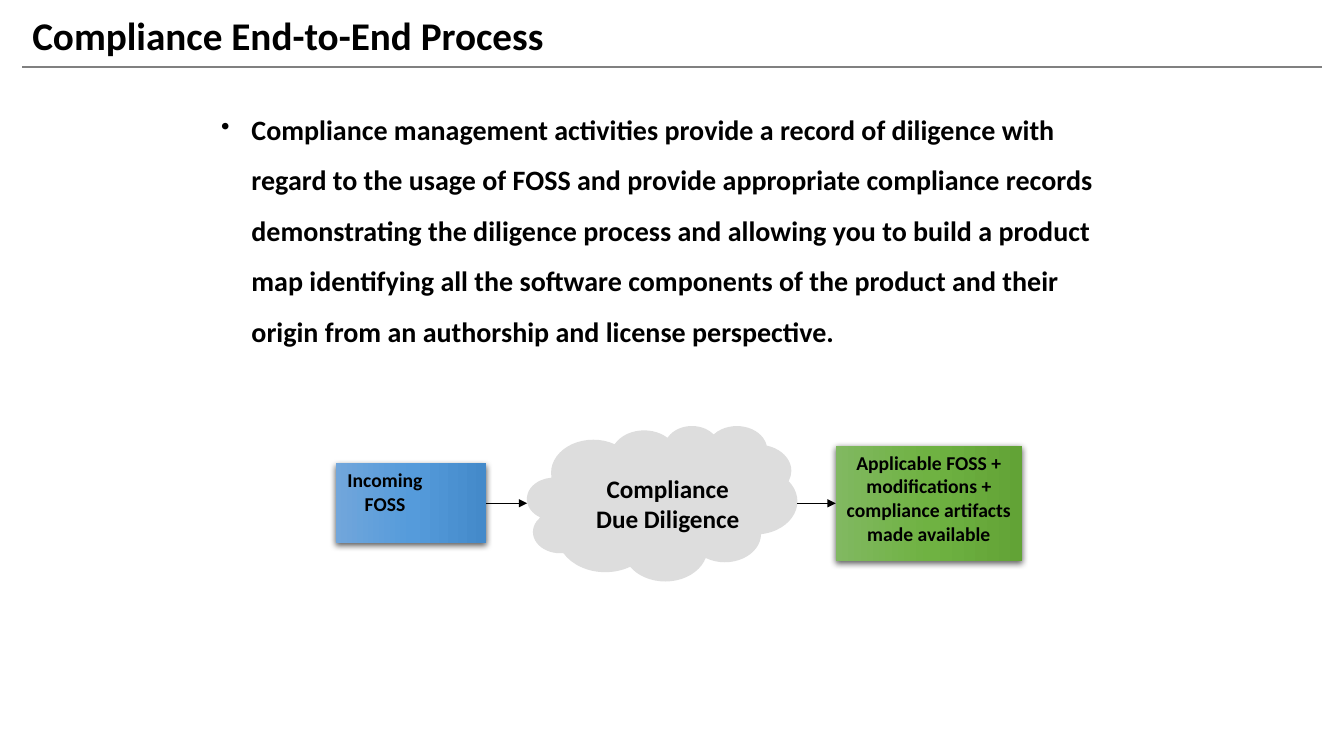
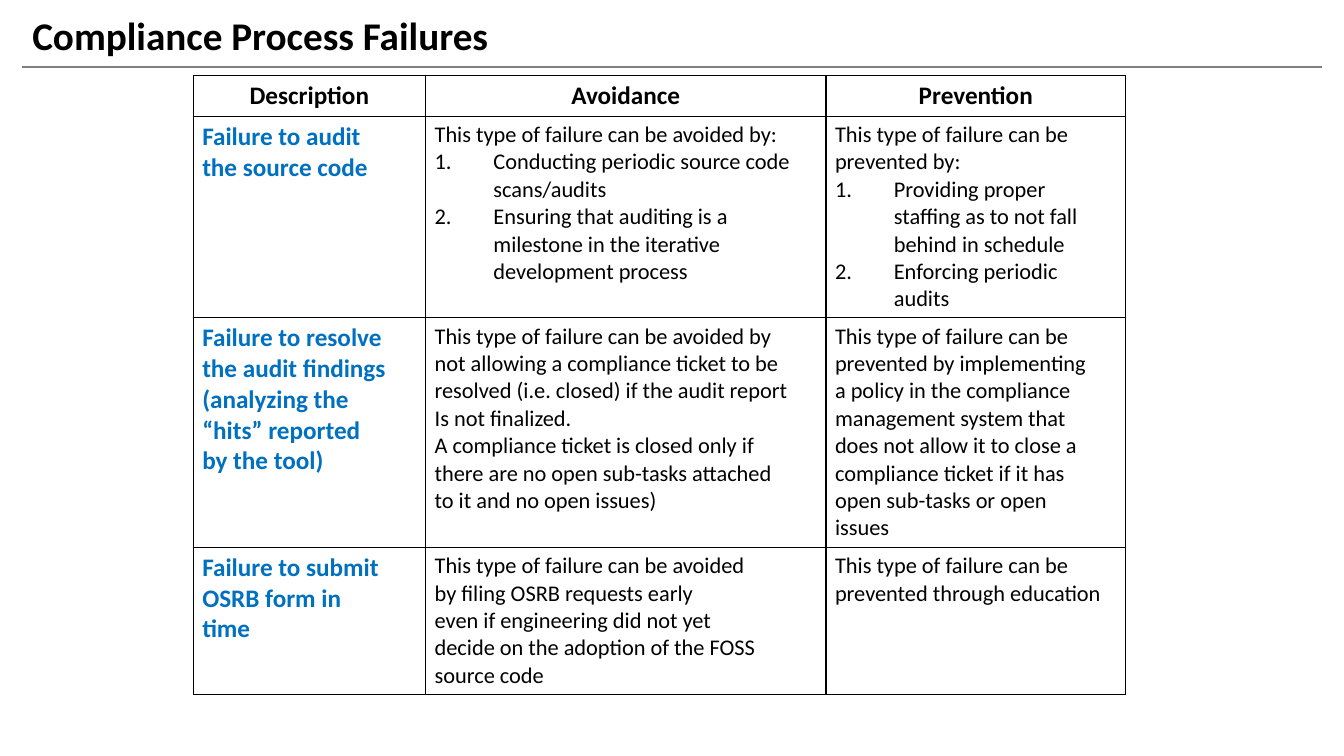
from dataclasses import dataclass

from lxml.etree import SubElement
from pptx import Presentation
from pptx.dml.color import RGBColor
from pptx.enum.shapes import MSO_CONNECTOR, MSO_SHAPE
from pptx.enum.text import MSO_ANCHOR, PP_ALIGN
from pptx.oxml import parse_xml
from pptx.oxml.ns import nsdecls, qn
from pptx.util import Pt


@dataclass(frozen=True)
class Theme:
    font: str = "Calibri"
    text: str = "000000"
    rule: str = "808080"
    row_heading: str = "0070C0"
    cloud: str = "DDDDDD"
    incoming: tuple = ("71A6DB", "559BDB", "448ACA")
    outgoing: tuple = ("81B861", "6FB242", "62A336")
    title_size: int = 28
    body_size: int = 20
    heading_size: int = 18
    cell_size: int = 16
    box_size: int = 14


@dataclass(frozen=True)
class Box:
    left: float
    top: float
    width: float
    height: float

    @property
    def right(self):
        return self.left + self.width

    @property
    def middle(self):
        return self.top + self.height / 2

    def lengths(self):
        return Pt(self.left), Pt(self.top), Pt(self.width), Pt(self.height)


@dataclass(frozen=True)
class Numbered:
    """A line of text that carries an automatic number."""
    text: str


THEME = Theme()
SLIDE_WIDTH, SLIDE_HEIGHT = 960, 540
TITLE = Box(16, 6, 919, 42)
RULE_RIGHT = 944
CONTENT = Box(138, 54, 666, 194)
FLOW = Box(240, 304, 496, 111)
TABLE_COLUMNS = (166, 286, 214)
TABLE_ROWS = (29, 144, 164, 105)
NUMBER_INDENT = 42

RECORD_TEXT = (
    "Compliance management activities provide a record of diligence with regard to the usage of "
    "FOSS and provide appropriate compliance records demonstrating the diligence process and "
    "allowing you to build a product map identifying all the software components of the product "
    "and their origin from an authorship and license perspective."
)

FAILURES = (
    (("Description",), ("Avoidance",), ("Prevention",)),
    (
        ("Failure to audit", "the source code"),
        (
            "This type of failure can be avoided by:",
            Numbered("Conducting periodic source code scans/audits"),
            Numbered("Ensuring that auditing is a milestone in the iterative development process"),
        ),
        (
            "This type of failure can be",
            "prevented by:",
            Numbered("Providing proper staffing as to not fall behind in schedule"),
            Numbered("Enforcing periodic audits"),
        ),
    ),
    (
        ("Failure to resolve", "the audit findings", "(analyzing the", "“hits” reported",
         "by the tool)"),
        (
            "This type of failure can be avoided by",
            "not allowing a compliance ticket to be",
            "resolved (i.e. closed) if the audit report",
            "Is not finalized.",
            "A compliance ticket is closed only if",
            "there are no open sub-tasks attached",
            "to it and no open issues)",
        ),
        (
            "This type of failure can be",
            "prevented by implementing",
            "a policy in the compliance",
            "management system that",
            "does not allow it to close a",
            "compliance ticket if it has",
            "open sub-tasks or open",
            "issues",
        ),
    ),
    (
        ("Failure to submit", "OSRB form in", "time"),
        (
            "This type of failure can be avoided",
            "by filing OSRB requests early",
            "even if engineering did not yet",
            "decide on the adoption of the FOSS",
            "source code",
        ),
        ("This type of failure can be", "prevented through education"),
    ),
)


def color(value):
    return RGBColor.from_string(value)


def set_bullet(paragraph, indent, *elements):
    """Hang the paragraph by indent points behind a bullet of (tag, attributes) elements."""
    properties = paragraph._p.get_or_add_pPr()
    properties.set("marL", str(Pt(indent)))
    properties.set("indent", str(-Pt(indent)))
    for tag, attributes in elements:
        SubElement(properties, qn(tag), attributes)


def write_lines(frame, lines, size, bold=True, text_color=THEME.text, align=PP_ALIGN.LEFT):
    """Write one paragraph per line and return the paragraphs."""
    frame.word_wrap = True
    for index, line in enumerate(lines):
        paragraph = frame.add_paragraph() if index else frame.paragraphs[0]
        numbered = isinstance(line, Numbered)
        paragraph.text = line.text if numbered else line
        if numbered:
            set_bullet(paragraph, NUMBER_INDENT, ("a:buAutoNum", {"type": "arabicPeriod"}))
        paragraph.alignment = align
        paragraph.font.name = THEME.font
        paragraph.font.size = Pt(size)
        paragraph.font.bold = bold
        paragraph.font.color.rgb = color(text_color)
    return frame.paragraphs


def set_margins(frame, left, top, right, bottom):
    frame.margin_left, frame.margin_top = Pt(left), Pt(top)
    frame.margin_right, frame.margin_bottom = Pt(right), Pt(bottom)


def add_line(slide, start, end, line_color, width, arrow=False):
    connector = slide.shapes.add_connector(
        MSO_CONNECTOR.STRAIGHT, *(Pt(value) for value in (*start, *end)))
    connector.line.color.rgb = color(line_color)
    connector.line.width = Pt(width)
    if arrow:
        SubElement(connector.line._get_or_add_ln(), qn("a:tailEnd"), {"type": "triangle"})
    SubElement(connector._element.spPr, qn("a:effectLst"))
    return connector


def add_titled_slide(presentation, title):
    slide = presentation.slides.add_slide(presentation.slide_layouts[6])
    add_line(slide, (TITLE.left, TITLE.top + TITLE.height),
             (RULE_RIGHT, TITLE.top + TITLE.height), THEME.rule, 1)
    frame = slide.shapes.add_textbox(*TITLE.lengths()).text_frame
    frame.vertical_anchor = MSO_ANCHOR.MIDDLE
    write_lines(frame, [title], THEME.title_size)[0].line_spacing = 0.9
    return slide


def add_bullet_text(slide, box, text):
    frame = slide.shapes.add_textbox(*box.lengths()).text_frame
    set_margins(frame, 20, 14.4, 14.4, 17)
    paragraph = frame.paragraphs[0]
    paragraph.line_spacing = 1.5
    set_bullet(paragraph, 21.6, ("a:buSzPct", {"val": "90000"}), ("a:buChar", {"char": "•"}))
    write_lines(frame, [text], THEME.body_size)


def add_gradient_box(slide, box, stops, lines, margins):
    """Add a softly shadowed box that fades from left to right."""
    shape = slide.shapes.add_shape(MSO_SHAPE.RECTANGLE, *box.lengths())
    shape.line.fill.background()
    shape.fill.gradient()
    shape.fill.gradient_angle = 0
    properties = shape._element.spPr
    stop_list = properties.find(".//" + qn("a:gsLst"))
    stop_list.clear()
    for position, stop in zip((0, 50000, 100000), stops):
        entry = SubElement(stop_list, qn("a:gs"), {"pos": str(position)})
        SubElement(entry, qn("a:srgbClr"), {"val": stop})
    properties.append(parse_xml(
        f'<a:effectLst {nsdecls("a")}>'
        f'<a:outerShdw blurRad="{Pt(4.5)}" dist="{Pt(1.5)}" dir="5400000" rotWithShape="0">'
        '<a:srgbClr val="000000"><a:alpha val="63000"/></a:srgbClr>'
        '</a:outerShdw></a:effectLst>'))
    frame = shape.text_frame
    frame.vertical_anchor = MSO_ANCHOR.TOP
    set_margins(frame, *margins)
    write_lines(frame, lines, THEME.box_size, align=PP_ALIGN.CENTER)
    return shape


def add_cloud(slide, box, lines):
    cloud = slide.shapes.add_shape(MSO_SHAPE.CLOUD_CALLOUT, *box.lengths())
    cloud.adjustments[0], cloud.adjustments[1] = -0.07, 0.05
    cloud.shadow.inherit = False
    cloud.fill.solid()
    cloud.fill.fore_color.rgb = color(THEME.cloud)
    cloud.line.fill.background()
    label = Box(box.left + 40, box.middle - 29, 121, 58)
    frame = slide.shapes.add_textbox(*label.lengths()).text_frame
    frame.vertical_anchor = MSO_ANCHOR.MIDDLE
    write_lines(frame, lines, THEME.heading_size, align=PP_ALIGN.CENTER)


def add_diligence_flow(slide, box):
    """Lay incoming box, cloud and outgoing box along the middle of the given box."""
    middle = box.middle
    incoming_box = Box(box.left, middle - 28.5, 107, 57)
    cloud_box = Box(box.left + 136.5, box.top, 193, box.height)
    outgoing_box = Box(box.left + 357, middle - 41, 133, 82)
    incoming = add_gradient_box(slide, incoming_box, THEME.incoming, ["Incoming", "FOSS"],
                                (6, 3.6, 43, 3.6))
    add_cloud(slide, cloud_box, ["Compliance", "Due Diligence"])
    outgoing = add_gradient_box(
        slide, outgoing_box, THEME.outgoing,
        ["Applicable FOSS + modifications + compliance artifacts", "made available"],
        (6, 3.6, 6, 3.6))
    arrow_in = add_line(slide, (incoming_box.right, middle), (cloud_box.left, middle),
                        THEME.text, 0.75, arrow=True)
    arrow_in.begin_connect(incoming, 3)
    arrow_out = add_line(slide, (cloud_box.right, middle), (outgoing_box.left, middle),
                         THEME.text, 0.75, arrow=True)
    arrow_out.end_connect(outgoing, 1)


def style_cell(cell):
    """Give the cell a thin border on every side and no fill."""
    cell.fill.background()
    properties = cell._tc.get_or_add_tcPr()
    for index, side in enumerate("LRTB"):
        properties.insert(index, parse_xml(
            f'<a:ln{side} {nsdecls("a")} w="{Pt(1)}"><a:solidFill>'
            f'<a:srgbClr val="{THEME.text}"/></a:solidFill></a:ln{side}>'))
    cell.margin_left = cell.margin_right = Pt(6.5)
    cell.margin_top = cell.margin_bottom = Pt(3.6)


def add_failure_table(slide, box, rows):
    table = slide.shapes.add_table(
        len(rows), len(TABLE_COLUMNS), Pt(box.left), Pt(box.top),
        Pt(box.width), Pt(sum(TABLE_ROWS))).table
    table.first_row = table.horz_banding = False
    for column, width in zip(table.columns, TABLE_COLUMNS):
        column.width = Pt(width)
    for row_index, (row, height) in enumerate(zip(rows, TABLE_ROWS)):
        table.rows[row_index].height = Pt(height)
        for column_index, lines in enumerate(row):
            cell = table.cell(row_index, column_index)
            style_cell(cell)
            if row_index == 0:
                write_lines(cell.text_frame, lines, THEME.heading_size, align=PP_ALIGN.CENTER)
            elif column_index == 0:
                write_lines(cell.text_frame, lines, THEME.heading_size,
                            text_color=THEME.row_heading)
            else:
                write_lines(cell.text_frame, lines, THEME.cell_size, bold=False)


def main():
    presentation = Presentation()
    presentation.slide_width, presentation.slide_height = Pt(SLIDE_WIDTH), Pt(SLIDE_HEIGHT)

    process = add_titled_slide(presentation, "Compliance End-to-End Process")
    add_bullet_text(process, CONTENT, RECORD_TEXT)
    add_diligence_flow(process, FLOW)

    failures = add_titled_slide(presentation, "Compliance Process Failures")
    add_failure_table(failures, CONTENT, FAILURES)

    presentation.save("out.pptx")


if __name__ == "__main__":
    main()
